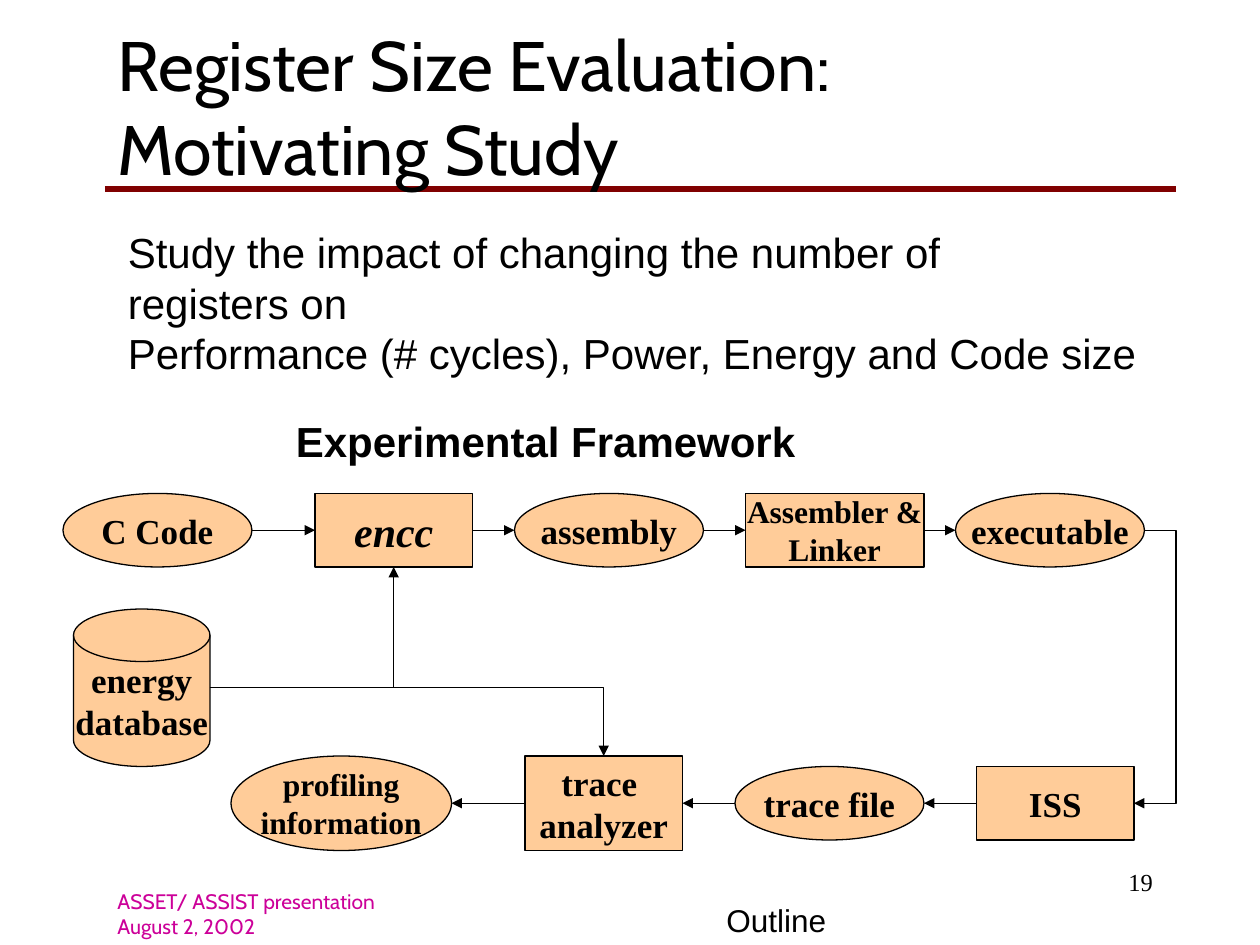
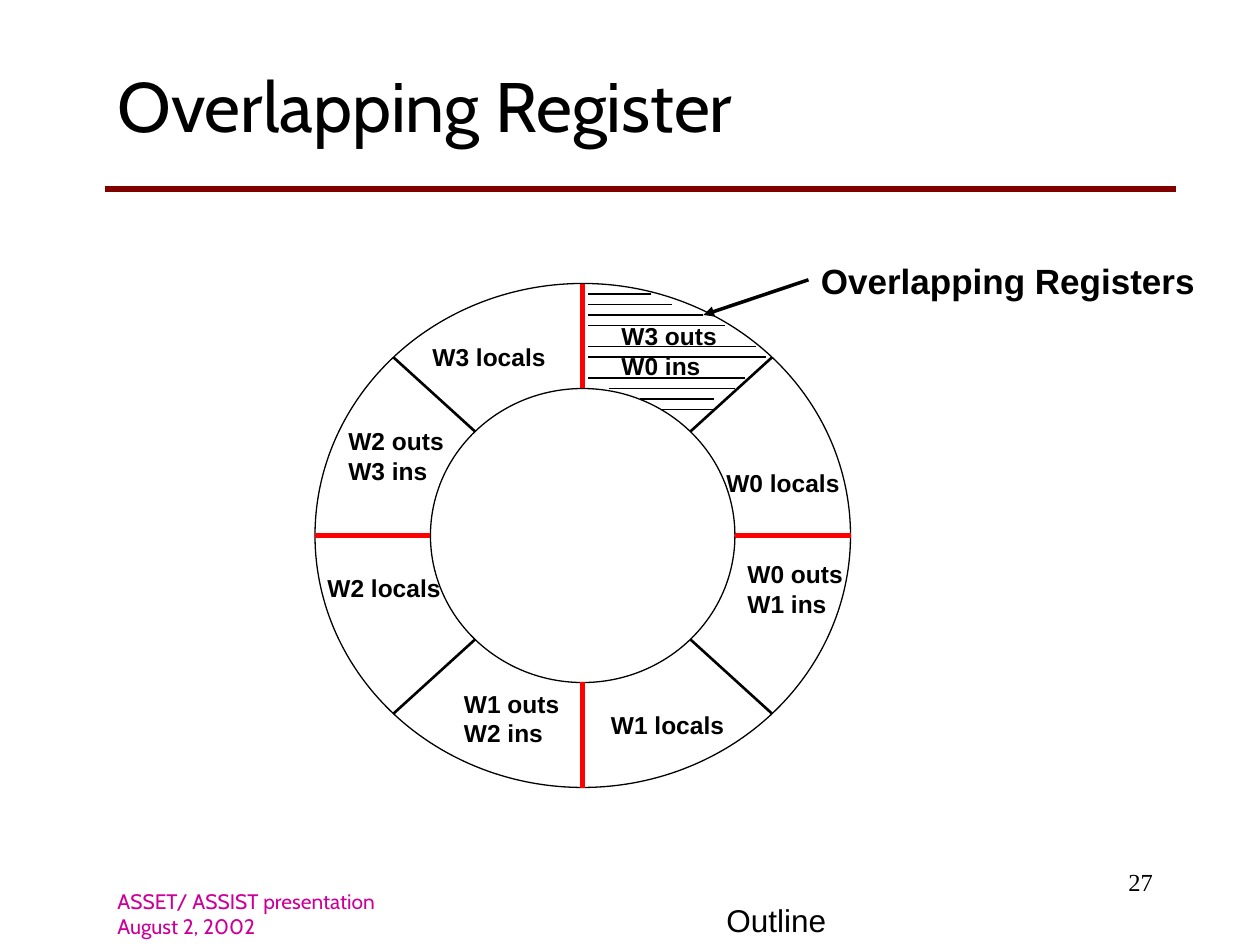
from dataclasses import dataclass
from math import cos, pi, sin

from lxml.etree import SubElement
from pptx import Presentation
from pptx.dml.color import RGBColor
from pptx.enum.shapes import MSO_CONNECTOR, MSO_SHAPE
from pptx.enum.text import MSO_ANCHOR, MSO_AUTO_SIZE, PP_ALIGN
from pptx.oxml.ns import qn
from pptx.util import Cm, Pt

# Shared style
BLACK, MAROON, RED, PEACH, MAGENTA = "000000", "800000", "FF0000", "FFCC99", "CC0099"
SANS, SERIF, DISPLAY = "Arial", "Times New Roman", "Cabin"
TITLE_ONLY = 5
UNITS_PER_INCH = 12


def grid(units):
    """Length of a number of layout grid units."""
    return Cm(2.54 / UNITS_PER_INCH * units)


def color(hex_string):
    return RGBColor.from_string(hex_string)


@dataclass
class Box:
    """A rectangle in grid units."""
    left: float
    top: float
    width: float
    height: float

    def inner(self, left, top, width, height):
        return Box(self.left + left, self.top + top, width, height)

    def point(self, x, y):
        return self.left + x, self.top + y

    def lengths(self):
        return [grid(n) for n in (self.left, self.top, self.width, self.height)]

    def side(self, index):
        """Middle of a side: 0 top, 1 left, 2 bottom, 3 right."""
        across, down = ((0.5, 0), (0, 0.5), (0.5, 1), (1, 0.5))[index]
        return self.point(self.width * across, self.height * down)


# Drawing helpers
def write(shape, text, size=14, font=SANS, ink=BLACK, bold=False, italic=False,
          align=PP_ALIGN.LEFT, anchor=MSO_ANCHOR.BOTTOM, wrap=True):
    frame = shape.text_frame
    frame.auto_size = MSO_AUTO_SIZE.NONE
    frame.word_wrap = wrap
    frame.vertical_anchor = anchor
    frame.margin_left = frame.margin_right = Cm(0.25)
    frame.margin_top = frame.margin_bottom = Cm(0.13)
    for number, line in enumerate(text.split("\n")):
        para = frame.add_paragraph() if number else frame.paragraphs[0]
        para.alignment = align
        para.space_before = Pt(0)
        span = para.add_run()
        span.text = line
        span.font.size = Pt(size)
        span.font.name = font
        span.font.bold = bold
        span.font.italic = italic
        span.font.color.rgb = color(ink)


def add_text(page, box, text, **style):
    write(page.shapes.add_textbox(*box.lengths()), text, **style)


def add_outline(page, kind, box, fill=None):
    shape = page.shapes.add_shape(kind, *box.lengths())
    shape.shadow.inherit = False
    if fill:
        shape.fill.solid()
        shape.fill.fore_color.rgb = color(fill)
    else:
        shape.fill.background()
    shape.line.color.rgb = color(BLACK)
    shape.line.width = Pt(0.75)
    return shape


def add_line(page, start, end, ink=BLACK, width=0.75, arrow=False,
             kind=MSO_CONNECTOR.STRAIGHT):
    line = page.shapes.add_connector(kind, *(grid(n) for n in (*start, *end)))
    line.line.color.rgb = color(ink)
    line.line.width = Pt(width)
    properties = line.element.spPr
    if arrow:
        SubElement(properties.find(qn("a:ln")), qn("a:tailEnd"), type="triangle")
    SubElement(properties, qn("a:effectLst"))
    return line


def add_elbow(page, start, end, bulge=0):
    """One corner, or with a bulge two corners beyond the starting point."""
    line = add_line(page, start, end, arrow=True, kind=MSO_CONNECTOR.ELBOW)
    geometry = line.element.spPr.find(qn("a:prstGeom"))
    if bulge:
        ratio = round(-100000 * bulge / abs(end[0] - start[0]))
        guides = geometry.find(qn("a:avLst"))
        if guides is None:
            guides = SubElement(geometry, qn("a:avLst"))
        SubElement(guides, qn("a:gd"), name="adj1", fmla=f"val {ratio}")
    else:
        geometry.set("prst", "bentConnector2")


# Parts on every page
def add_page(deck, title, number):
    page = deck.slides.add_slide(deck.slide_layouts[TITLE_ONLY])
    add_line(page, (10, 18), (112, 18), MAROON, 3)
    heading = page.shapes.title
    heading.left, heading.top, heading.width, heading.height = Box(10, 4, 93, 12).lengths()
    write(heading, title, size=40, font=DISPLAY, anchor=MSO_ANCHOR.MIDDLE)
    # Keep the title in front of the rule
    heading.element.getparent().append(heading.element)
    add_footer(page, Box(10, 82, 101, 8), number)
    return page


def add_footer(page, box, number):
    add_text(page, box.inner(0, 4, 38, 4), "ASSET/ ASSIST presentation\nAugust 2, 2002",
             size=12, font=DISPLAY, ink=MAGENTA)
    add_text(page, box.inner(58, 3.2, 13, 4.8), "Outline", size=18)
    add_text(page, box.inner(76, 0, 25, 6), str(number), font=SERIF,
             align=PP_ALIGN.RIGHT, anchor=MSO_ANCHOR.TOP)


# Tool flow diagram
OVAL, BLOCK, DISK = MSO_SHAPE.OVAL, MSO_SHAPE.RECTANGLE, MSO_SHAPE.FLOWCHART_MAGNETIC_DISK
TOP_ROW, STORE_ROW, BOTTOM_ROW = 3.5, 18.5, 29.5
LEFT, RIGHT = 1, 3
# Text, kind, left, middle of row, width, height, text size
FLOW_NODES = [
    ("C Code", OVAL, 0, TOP_ROW, 18, 7, 20),
    ("encc", BLOCK, 24, TOP_ROW, 15, 7, 24),
    ("assembly", OVAL, 43, TOP_ROW, 18, 7, 20),
    ("Assembler &\nLinker", BLOCK, 65, TOP_ROW, 17, 7, 18),
    ("executable", OVAL, 85, TOP_ROW, 18, 7, 20),
    ("ISS", BLOCK, 87, BOTTOM_ROW, 15, 7, 20),
    ("trace file", OVAL, 64, BOTTOM_ROW, 18, 7, 20),
    ("trace \nanalyzer", BLOCK, 44, BOTTOM_ROW, 15, 9, 20),
    ("profiling\ninformation", OVAL, 16, BOTTOM_ROW, 21, 9, 18),
    ("energy\ndatabase", DISK, 1, STORE_ROW, 13, 15, 20),
]


def join(page, source, target, out_side, in_side):
    """Straight arrow between facing sides, joined to rectangles."""
    (source_box, source_shape), (target_box, target_shape) = source, target
    line = add_line(page, source_box.side(out_side), target_box.side(in_side), arrow=True)
    if source_shape.auto_shape_type == BLOCK:
        line.begin_connect(source_shape, out_side)
    if target_shape.auto_shape_type == BLOCK:
        line.end_connect(target_shape, in_side)


def add_tool_flow(page, box):
    nodes = []
    for text, kind, left, middle, width, height, size in FLOW_NODES:
        place = box.inner(left, middle - height / 2, width, height)
        shape = add_outline(page, kind, place, PEACH)
        write(shape, text, size=size, font=SERIF, bold=True, italic=text == "encc",
              align=PP_ALIGN.CENTER, anchor=MSO_ANCHOR.MIDDLE, wrap=False)
        nodes.append((place, shape))

    compile_row, trace_row, database = nodes[:5], nodes[5:9], nodes[9][0]
    for source, target in zip(compile_row, compile_row[1:]):
        join(page, source, target, RIGHT, LEFT)
    for source, target in zip(trace_row, trace_row[1:]):
        join(page, source, target, LEFT, RIGHT)

    encc, executable = compile_row[1][0], compile_row[4][0]
    simulator, analyzer = trace_row[0][0], trace_row[2][0]
    add_elbow(page, database.side(RIGHT), encc.side(2))
    add_elbow(page, database.side(RIGHT), analyzer.side(0))
    add_elbow(page, executable.side(RIGHT), simulator.side(RIGHT), bulge=3)


def build_study_page(deck):
    page = add_page(deck, "Register Size Evaluation: Motivating Study", 19)
    add_text(page, Box(11, 21, 101, 15.6),
             "Study the impact of changing the number of\nregisters on\n"
             "Performance (# cycles), Power, Energy and Code size", size=24)
    add_text(page, Box(27, 39, 50, 6), "Experimental Framework",
             size=24, bold=True, wrap=False)
    add_tool_flow(page, Box(6, 47, 106, 34))


# Register window ring
# Text, left, bottom
WINDOW_LABELS = [
    ("W0 locals", 38, 21), ("W3 locals", 10, 9),
    ("W2 locals", 0, 31), ("W1 locals", 27, 44),
    ("W0 outs\nW1 ins", 40, 32.5), ("W3 outs\nW0 ins", 28, 9.8),
    ("W2 outs\nW3 ins", 2, 19.8), ("W1 outs\nW2 ins", 13, 44.8),
]
# Height, start, end of each hatch line
HATCHING = [
    (1, 26, 32), (2, 26, 34), (3, 26, 37), (4, 26, 39), (6, 26, 42),
    (7, 26, 43), (9, 26, 41), (10, 28, 40), (11, 31, 38), (12, 33, 38),
]


def add_window_ring(page, box):
    hole = box.inner(11, 10, 29, 28)
    for ring in (box, hole):
        add_outline(page, MSO_SHAPE.OVAL, ring)

    # Spokes: window borders on the axes, register groups between them
    for step in range(8):
        angle = step * pi / 4
        inside, outside = (
            ring.point(ring.width / 2 * (1 + cos(angle)), ring.height / 2 * (1 + sin(angle)))
            for ring in (hole, box))
        ink, width = (BLACK, 1.5) if step % 2 else (RED, 3)
        add_line(page, inside, outside, ink, width)

    for text, left, bottom in WINDOW_LABELS:
        width, height = (11.5, 6.8) if "\n" in text else (13.2, 4)
        add_text(page, box.inner(left, bottom - height, width, height), text,
                 bold=True, wrap=False)

    for height, start, end in HATCHING:
        add_line(page, box.point(start, height), box.point(end, height))


def add_callout(page, box):
    add_text(page, box.inner(10, 0, 38, 5.3), "Overlapping Registers",
             size=20, bold=True, wrap=False)
    add_line(page, box.point(10, 2.65), box.point(0, 6), width=2, arrow=True)


def build_ring_page(deck):
    page = add_page(deck, "Overlapping Register", 27)
    add_window_ring(page, Box(30, 27, 51, 48))
    add_callout(page, Box(67, 24, 48, 6))


def main():
    deck = Presentation()
    deck.slide_width, deck.slide_height = Cm(25.4), Cm(19.05)
    build_study_page(deck)
    build_ring_page(deck)
    deck.save("out.pptx")


if __name__ == "__main__":
    main()
